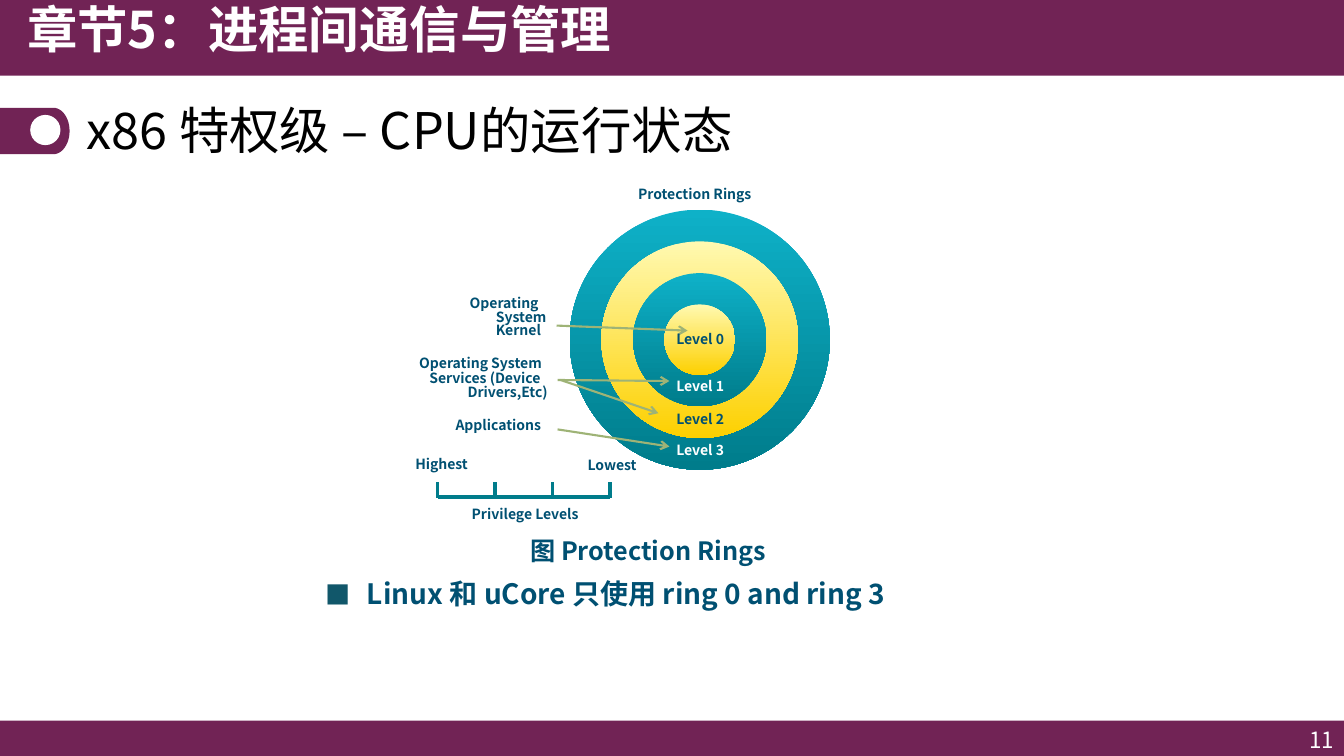
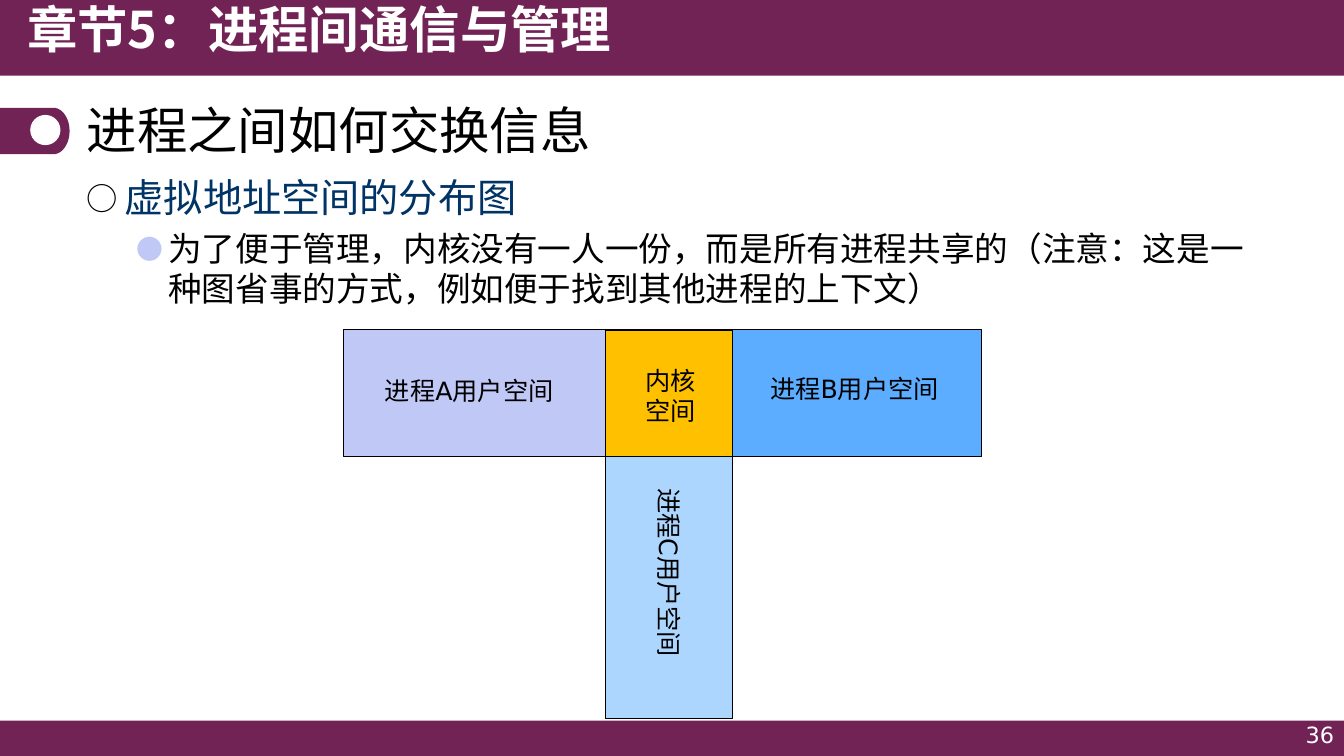
from dataclasses import dataclass
from math import cos, pi, sin

from lxml import etree
from pptx import Presentation
from pptx.dml.color import RGBColor
from pptx.enum.shapes import MSO_CONNECTOR, MSO_SHAPE
from pptx.enum.text import MSO_ANCHOR, MSO_AUTO_SIZE, PP_ALIGN
from pptx.oxml.ns import qn
from pptx.util import Inches, Pt

RECTANGLE, OVAL = MSO_SHAPE.RECTANGLE, MSO_SHAPE.OVAL
STRAIGHT = MSO_CONNECTOR.STRAIGHT
TOP, MIDDLE = MSO_ANCHOR.TOP, MSO_ANCHOR.MIDDLE
LEFT, RIGHT = PP_ALIGN.LEFT, PP_ALIGN.RIGHT
FIXED, GROW = MSO_AUTO_SIZE.NONE, MSO_AUTO_SIZE.SHAPE_TO_FIT_TEXT
TITLE_ONLY = 5


@dataclass(frozen=True)
class Theme:
    heading_font: str = "Noto Sans CJK SC"
    label_font: str = "DejaVu Sans"
    plum: str = "712355"
    white: str = "FFFFFF"
    black: str = "000000"
    ink: str = "005072"
    navy: str = "003366"
    teal: str = "007C8B"
    teal_light: str = "0EB1C8"
    yellow: str = "FDD000"
    yellow_light: str = "FFF9B1"
    olive: str = "9EB376"
    square: str = "11576A"
    lilac: str = "C0C9F6"
    blue: str = "5CADFF"
    sky: str = "ADD6FF"
    amber: str = "FFC000"
    title_size: int = 36
    topic_size: int = 28
    body_size: int = 24
    point_size: int = 20
    label_size: int = 18
    number_size: int = 16
    small_size: int = 10
    tight: float = 0.82
    snug: float = 0.9


THEME = Theme()


@dataclass(frozen=True)
class Box:
    left: float
    top: float
    width: float
    height: float

    def lengths(self) -> tuple:
        return tuple(Inches(v) for v in (self.left, self.top, self.width, self.height))


@dataclass(frozen=True)
class Style:
    size: int
    color: str
    font: str = THEME.heading_font
    bold: bool = False
    spacing: float = 1.0
    align: PP_ALIGN = LEFT


@dataclass(frozen=True)
class Bullet:
    symbol: str
    color: str
    percent: int
    margin: float
    hanging: float


@dataclass(frozen=True)
class Label:
    text: str
    box: Box
    color: str = THEME.ink
    first_indent: float = -0.38


@dataclass(frozen=True)
class Space:
    box: Box
    color: str


@dataclass(frozen=True)
class Caption:
    lines: tuple
    box: Box
    rotation: int = 0


TITLE = Style(THEME.title_size, THEME.black, spacing=THEME.snug)
CHAPTER = Style(THEME.title_size, THEME.white, bold=True, spacing=THEME.snug)
CAPTION = Style(THEME.label_size, THEME.black, THEME.label_font)
FIGURE = Style(THEME.label_size, THEME.ink, bold=True, spacing=THEME.snug)
POINT = Style(THEME.point_size, THEME.ink, bold=True, spacing=THEME.snug)
TOPIC = Style(THEME.topic_size, THEME.navy, spacing=THEME.snug)
DETAIL = Style(THEME.body_size, THEME.black, THEME.label_font)

# Protection rings slide
RING_CENTER = (6.94, 3.37)
RINGS = (
    (2.58, THEME.teal_light, THEME.teal),
    (1.95, THEME.yellow_light, THEME.yellow),
    (1.32, THEME.teal_light, THEME.teal),
    (0.70, THEME.yellow_light, THEME.yellow),
)
RING_LABELS = (
    Label("Protection Rings", Box(6.23, 1.82, 1.52, 0.31)),
    Label("Operating System", Box(4.06, 3.5, 1.6, 0.34)),
    Label("Services (Device Drivers,Etc)", Box(4.16, 3.65, 1.43, 0.27)),
    Label("Applications", Box(4.42, 4.11, 1.14, 0.3)),
    Label("Highest", Box(4.02, 4.5, 0.89, 0.33)),
    Label("Lowest", Box(5.73, 4.51, 0.89, 0.33)),
    Label("Privilege Levels", Box(4.58, 5, 1.52, 0.29)),
    Label("Operating System Kernel", Box(4.44, 2.9, 1.08, 0.63), first_indent=-0.26),
)
LEVELS = ((3.26, THEME.ink), (3.73, THEME.white), (4.05, THEME.ink), (4.36, THEME.white))
ARROWS = (
    ((5.52, 3.23), (6.82, 3.28)),
    ((5.53, 3.77), (6.64, 3.78)),
    ((5.56, 3.77), (6.53, 4.1)),
    ((5.53, 4.26), (6.64, 4.43)),
)
SCALE_LEFT, SCALE_STEP, SCALE_STEPS = 4.34, 0.57, 3
SCALE_TOP, SCALE_BOTTOM = 4.78, 4.94

# Address space slide
SPACES = (
    Space(Box(5.88, 3.27, 3.86, 1.26), THEME.blue),
    Space(Box(3.41, 3.27, 3.86, 1.26), THEME.lilac),
    Space(Box(6.01, 3.27, 1.26, 3.86), THEME.sky),
    Space(Box(6.01, 3.28, 1.26, 1.25), THEME.amber),
)
CAPTIONS = (
    Caption(("进程A用户空间",), Box(3.72, 3.67, 1.93, 0.4)),
    Caption(("进程B用户空间",), Box(7.54, 3.65, 1.93, 0.4)),
    Caption(("进程C用户空间",), Box(5.67, 5.51, 1.93, 0.4), 90),
    Caption(("内核", "空间"), Box(6.3, 3.57, 1.01, 0.71)),
)


def rgb(color: str) -> RGBColor:
    return RGBColor.from_string(color)


def paint(shape, fill: str, line: str = "") -> None:
    shape.shadow.inherit = False
    shape.fill.solid()
    shape.fill.fore_color.rgb = rgb(fill)
    if line:
        shape.line.color.rgb = rgb(line)
        shape.line.width = Pt(0.75)
    else:
        shape.line.fill.background()


def set_indent(paragraph, margin: float, first: float) -> None:
    properties = paragraph._p.get_or_add_pPr()
    properties.set("marL", str(Inches(margin)))
    properties.set("indent", str(Inches(first)))


def set_bullet(paragraph, bullet: Bullet) -> None:
    set_indent(paragraph, bullet.margin, -bullet.hanging)
    properties = paragraph._p.get_or_add_pPr()
    color = etree.SubElement(properties, qn("a:buClr"))
    etree.SubElement(color, qn("a:srgbClr"), val=bullet.color)
    etree.SubElement(properties, qn("a:buSzPct"), val=str(bullet.percent * 1000))
    etree.SubElement(properties, qn("a:buFont"), typeface=THEME.heading_font)
    etree.SubElement(properties, qn("a:buChar"), char=bullet.symbol)


def format_paragraph(paragraph, style: Style) -> None:
    paragraph.alignment = style.align
    paragraph.line_spacing = style.spacing
    for run in paragraph.runs:
        font = run.font
        font.size, font.bold, font.name = Pt(style.size), style.bold, style.font
        font.color.rgb = rgb(style.color)
        latin = run._r.get_or_add_rPr().find(qn("a:latin"))
        east_asian = etree.Element(qn("a:ea"), typeface=style.font)
        latin.addnext(east_asian)


def add_text(slide, box: Box, text: str, style: Style, anchor=TOP, auto_size=FIXED):
    shape = slide.shapes.add_textbox(*box.lengths())
    frame = shape.text_frame
    frame.word_wrap = True
    frame.auto_size = auto_size
    frame.vertical_anchor = anchor
    frame.text = text
    for paragraph in frame.paragraphs:
        format_paragraph(paragraph, style)
    return shape


def add_line(slide, start: tuple, end: tuple, color: str, width: float, arrow: bool = False) -> None:
    ends = (Inches(v) for v in (*start, *end))
    connector = slide.shapes.add_connector(STRAIGHT, *ends)
    connector.line.color.rgb = rgb(color)
    connector.line.width = Pt(width)
    if arrow:
        etree.SubElement(connector.line._get_or_add_ln(), qn("a:tailEnd"), type="arrow")
    etree.SubElement(connector._element.spPr, qn("a:effectLst"))


def add_marker(slide) -> None:
    """Draw the tab with a rounded right end beside the title."""
    center_x, center_y, radius_x, radius_y, steps = 0.53, 1.3, 0.16, 0.23, 24
    angles = [pi * (step / steps - 0.5) for step in range(steps + 1)]
    arc = [(center_x + radius_x * cos(a), center_y + radius_y * sin(a)) for a in angles]
    outline = [*arc, (0, center_y + radius_y)]
    builder = slide.shapes.build_freeform(Inches(0), Inches(center_y - radius_y))
    builder.add_line_segments([(Inches(x), Inches(y)) for x, y in outline], close=True)
    paint(builder.convert_to_shape(), THEME.plum)
    paint(slide.shapes.add_shape(OVAL, *Box(0.3, 1.14, 0.3, 0.3).lengths()), THEME.white)


def add_base(presentation, title_text: str, number: str, number_top: float, number_font: str):
    """Add a slide with the shared bands, chapter name, title and number."""
    slide = presentation.slides.add_slide(presentation.slide_layouts[TITLE_ONLY])
    for band in (Box(0, 7.15, 13.33, 0.36), Box(-0.03, 0, 13.36, 0.75)):
        paint(slide.shapes.add_shape(RECTANGLE, *band.lengths()), THEME.plum)
    add_marker(slide)
    add_text(slide, Box(0.17, 0, 7.32, 0.77), "章节5：进程间通信与管理", CHAPTER)

    title = slide.shapes.title
    title.left, title.top, title.width, title.height = Box(0.76, 0.95, 11.81, 0.74).lengths()
    frame = title.text_frame
    frame.text = title_text
    frame.word_wrap = True
    frame.auto_size = FIXED
    frame.vertical_anchor = MIDDLE
    format_paragraph(frame.paragraphs[0], TITLE)

    number_style = Style(THEME.number_size, THEME.white, number_font, align=RIGHT)
    add_text(slide, Box(10.22, number_top, 3.11, 0.33), number, number_style, MIDDLE)
    return slide


def add_ring(slide, diameter: float, top_color: str, bottom_color: str) -> None:
    left, top = (center - diameter / 2 for center in RING_CENTER)
    ring = slide.shapes.add_shape(OVAL, *Box(left, top, diameter, diameter).lengths())
    paint(ring, top_color)
    ring.fill.gradient()
    ring.fill.gradient_angle = 270
    for stop, color in zip(ring.fill.gradient_stops, (top_color, bottom_color)):
        stop.color.rgb = rgb(color)


def add_label(slide, label: Label) -> None:
    style = Style(THEME.small_size, label.color, bold=True, spacing=THEME.tight)
    shape = add_text(slide, label.box, label.text, style)
    set_indent(shape.text_frame.paragraphs[0], 0.38, label.first_indent)


def build_rings_slide(presentation) -> None:
    slide = add_base(presentation, "x86 特权级 – CPU的运行状态", "11", 7.17, THEME.heading_font)
    for ring in RINGS:
        add_ring(slide, *ring)

    # Privilege scale
    scale_right = SCALE_LEFT + SCALE_STEP * SCALE_STEPS
    add_line(slide, (SCALE_LEFT, 4.93), (scale_right, 4.93), THEME.teal, 2.25)
    for step in range(SCALE_STEPS + 1):
        x = SCALE_LEFT + SCALE_STEP * step
        add_line(slide, (x, SCALE_BOTTOM), (x, SCALE_TOP), THEME.teal, 2.25)

    # Arrows and labels
    for start, end in ARROWS:
        add_line(slide, start, end, THEME.olive, 1.5, arrow=True)
    for label in RING_LABELS:
        add_label(slide, label)
    for level, (top, color) in enumerate(LEVELS):
        add_label(slide, Label(f"Level {level}", Box(6.61, top, 0.74, 0.28), color))

    # Figure caption and remark
    add_text(slide, Box(5.16, 5.3, 3.07, 0.3), "图 Protection Rings", FIGURE)
    remark = add_text(slide, Box(3.13, 5.71, 7.91, 0.43),
                      "Linux 和 uCore 只使用 ring 0 and ring 3", POINT)
    set_bullet(remark.text_frame.paragraphs[0], Bullet("■", THEME.square, 90, 0.41, 0.41))


def build_address_slide(presentation) -> None:
    slide = add_base(presentation, "进程之间如何交换信息", "36", 7.12, THEME.label_font)

    # Outline text
    body = slide.shapes.add_textbox(*Box(0.76, 1.72, 11.81, 1.45).lengths())
    frame = body.text_frame
    frame.word_wrap = True
    topic, detail = frame.paragraphs[0], frame.add_paragraph()
    topic.text = "虚拟地址空间的分布图"
    detail.text = ("为了便于管理，内核没有一人一份，而是所有进程共享的"
                   "（注意：这是一种图省事的方式，例如便于找到其他进程的上下文）")
    detail.level = 1
    set_bullet(topic, Bullet("○", THEME.black, 80, 0.38, 0.38))
    set_bullet(detail, Bullet("●", THEME.lilac, 80, 0.81, 0.31))
    detail.space_before = Pt(5)
    format_paragraph(topic, TOPIC)
    format_paragraph(detail, DETAIL)

    # Address spaces around the shared kernel
    for space in SPACES:
        paint(slide.shapes.add_shape(RECTANGLE, *space.box.lengths()), space.color, THEME.black)
    for caption in CAPTIONS:
        shape = add_text(slide, caption.box, "\n".join(caption.lines), CAPTION, auto_size=GROW)
        shape.rotation = caption.rotation


def main() -> None:
    presentation = Presentation()
    presentation.slide_width, presentation.slide_height = Inches(13.33), Inches(7.5)
    build_rings_slide(presentation)
    build_address_slide(presentation)
    presentation.save("out.pptx")


if __name__ == "__main__":
    main()
